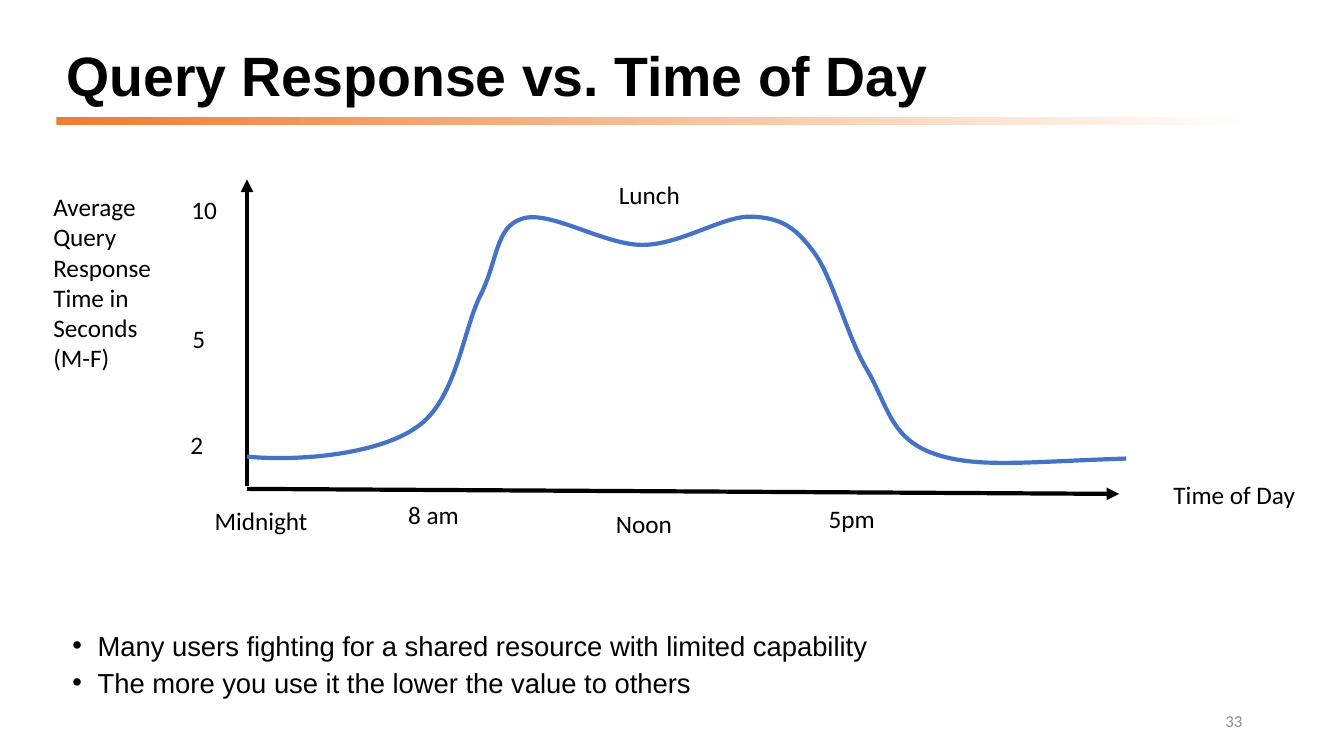
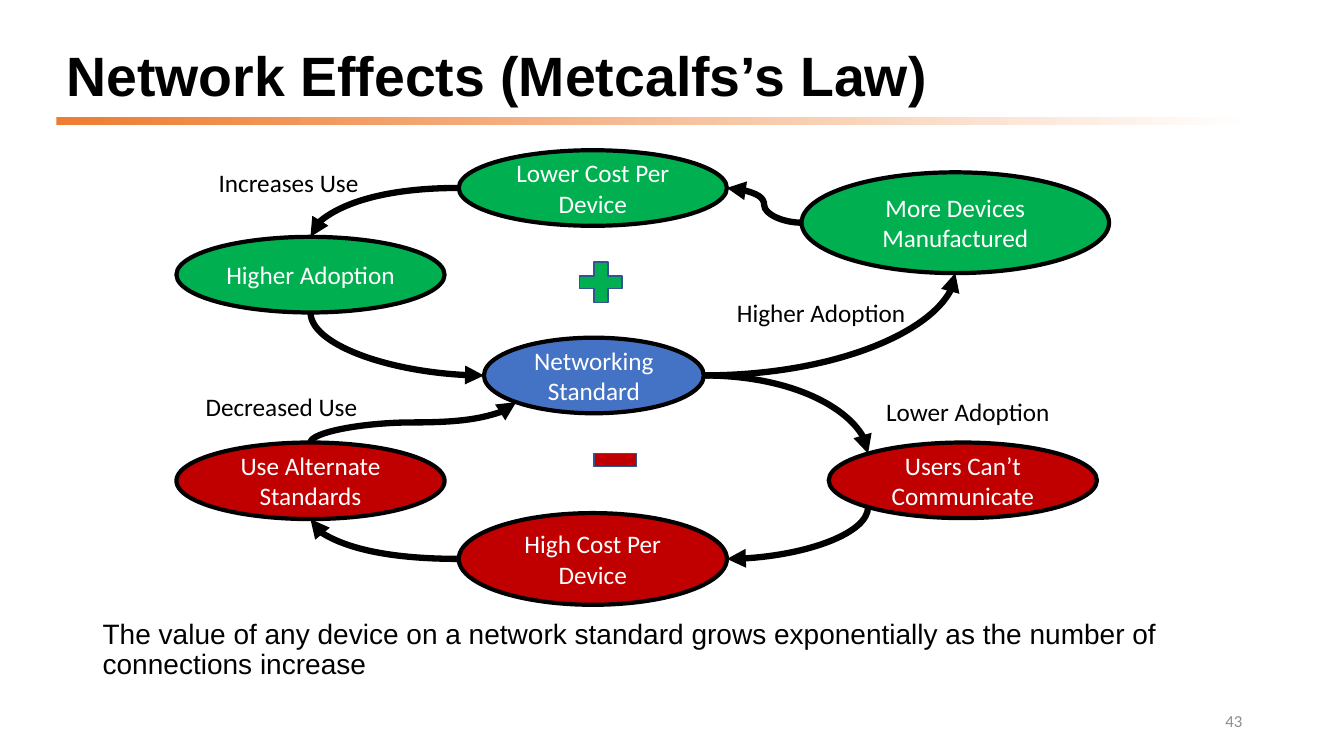
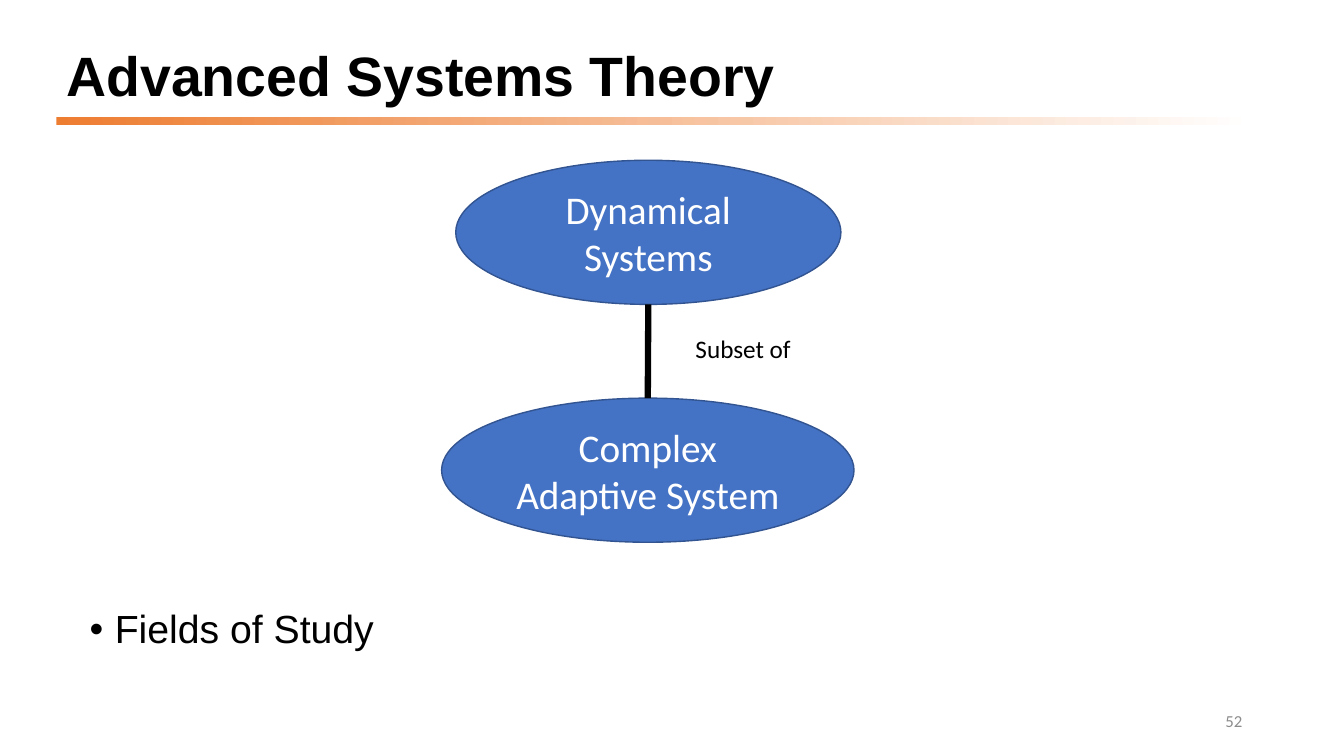
from dataclasses import dataclass
from itertools import pairwise
from math import sqrt

from lxml.etree import SubElement
from pptx import Presentation
from pptx.dml.color import RGBColor
from pptx.enum.shapes import MSO_CONNECTOR, MSO_SHAPE
from pptx.enum.text import MSO_ANCHOR, MSO_AUTO_SIZE, PP_ALIGN
from pptx.oxml.ns import qn
from pptx.presentation import Presentation as Deck
from pptx.shapes.autoshape import Shape
from pptx.shapes.connector import Connector
from pptx.slide import Slide
from pptx.text.text import Font
from pptx.util import Inches, Pt

BLACK = RGBColor(0x00, 0x00, 0x00)
WHITE = RGBColor(0xFF, 0xFF, 0xFF)
GRAY = RGBColor(0x8C, 0x8C, 0x8C)
ORANGE = RGBColor(0xED, 0x7D, 0x31)
BLUE = RGBColor(0x44, 0x72, 0xC4)
DARK_BLUE = RGBColor(0x32, 0x54, 0x91)
GREEN = RGBColor(0x00, 0xB0, 0x50)
RED = RGBColor(0xC0, 0x00, 0x00)

HEADING_FONT = "Arial"
LABEL_FONT = "Calibri"

# Ellipse connection sites: (index, horizontal, vertical) on the unit circle
DIAGONAL = sqrt(0.5)
SITES = {
    "top": (0, 0, -1),
    "top left": (1, -DIAGONAL, -DIAGONAL),
    "left": (2, -1, 0),
    "bottom left": (3, -DIAGONAL, DIAGONAL),
    "bottom": (4, 0, 1),
    "right": (6, 1, 0),
}


@dataclass(frozen=True)
class Box:
    left: float
    top: float
    width: float
    height: float

    def lengths(self) -> tuple[Inches, ...]:
        return tuple(Inches(v) for v in (self.left, self.top, self.width, self.height))

    def site(self, name: str) -> tuple[float, float]:
        """Point of a connection site on the ellipse in this box."""
        _, across, down = SITES[name]
        return (self.left + self.width / 2 * (1 + across),
                self.top + self.height / 2 * (1 + down))


@dataclass(frozen=True)
class Label:
    text: str
    left: float
    top: float
    width: float
    height: float = 0.4


@dataclass(frozen=True)
class Concept:
    text: str
    box: Box
    color: RGBColor


@dataclass(frozen=True)
class Influence:
    source: str
    source_site: str
    target: str
    target_site: str


TITLE_BOX = Box(0.56, 0.4, 11.5, 0.76)
RULE_BOX = Box(0.56, 1.16, 11.86, 0.08)
NUMBER_BOX = Box(9.42, 6.95, 3, 0.4)

RESPONSE_LABELS = [
    Label("Average\nQuery\nResponse\nTime in\nSeconds\n(M-F)", 0.43, 1.85, 1.18, 1.92),
    Label("Time of Day", 11.54, 4.71, 1.42),
    Label("Midnight", 2.03, 4.96, 1.13),
    Label("8 am", 3.95, 4.9, 0.71),
    Label("Noon", 6.01, 4.99, 0.76),
    Label("5pm", 8.12, 4.94, 0.66),
    Label("10", 1.8, 1.88, 0.46),
    Label("5", 1.81, 3.16, 0.33),
    Label("2", 1.79, 4.21, 0.33),
    Label("Lunch", 6.04, 1.73, 0.82),
]

# Start point, then two control points and an end point for each segment
RESPONSE_CURVE = [
    (2.45, 4.53),
    (2.95, 4.58), (3.75, 4.51), (4.13, 4.24),
    (4.52, 3.98), (4.59, 3.29), (4.76, 2.94),
    (4.94, 2.59), (4.91, 2.25), (5.18, 2.17),
    (5.45, 2.08), (5.99, 2.43), (6.37, 2.43),
    (6.75, 2.43), (7.17, 2.14), (7.45, 2.15),
    (7.73, 2.16), (7.88, 2.24), (8.07, 2.5),
    (8.26, 2.75), (8.4, 3.34), (8.6, 3.67),
    (8.8, 4.01), (8.83, 4.35), (9.26, 4.5),
    (9.68, 4.65), (10.2, 4.58), (11.17, 4.55),
]

NETWORK_CONCEPTS = {
    "standard": Concept("Networking\nStandard", Box(4.8, 3.35, 2.18, 0.75), BLUE),
    "more devices": Concept("More Devices\nManufactured", Box(7.95, 1.71, 3.05, 1), GREEN),
    "lower cost": Concept("Lower Cost Per\nDevice", Box(4.55, 1.49, 2.66, 0.75), GREEN),
    "adoption": Concept("Higher Adoption", Box(1.75, 2.35, 2.66, 0.75), GREEN),
    "isolation": Concept("Users Can’t Communicate", Box(8.22, 4.39, 2.66, 0.75), RED),
    "high cost": Concept("High Cost Per Device", Box(4.55, 5.09, 2.66, 0.91), RED),
    "alternates": Concept("Use Alternate Standards", Box(1.75, 4.39, 2.66, 0.76), RED),
}

NETWORK_INFLUENCES = [
    Influence("standard", "right", "more devices", "bottom"),
    Influence("more devices", "left", "lower cost", "right"),
    Influence("lower cost", "left", "adoption", "top"),
    Influence("adoption", "bottom", "standard", "left"),
    Influence("standard", "right", "isolation", "top left"),
    Influence("isolation", "bottom left", "high cost", "right"),
    Influence("high cost", "left", "alternates", "bottom"),
    Influence("alternates", "top", "standard", "bottom left"),
]

NETWORK_LABELS = [
    Label("Increases Use", 2.07, 1.61, 1.6),
    Label("Higher Adoption", 7.21, 2.9, 1.89),
    Label("Lower Adoption", 8.69, 3.88, 1.84),
    Label("Decreased Use", 1.94, 3.83, 1.72),
]

SYSTEMS = [
    Concept("Dynamical Systems", Box(4.52, 1.59, 3.82, 1.43), BLUE),
    Concept("Complex Adaptive System", Box(4.38, 3.95, 4.09, 1.43), BLUE),
]


def style_font(font: Font, name: str, size: float, color: RGBColor, bold: bool = False) -> None:
    font.name = name
    font.size = Pt(size)
    font.color.rgb = color
    font.bold = bold


def add_text(slide: Slide, box: Box, lines: list[str], font: str, size: float,
             color: RGBColor = BLACK, bold: bool = False, bullet: bool = False,
             spacing: float = 1.0, align: PP_ALIGN = PP_ALIGN.LEFT,
             anchor: MSO_ANCHOR = MSO_ANCHOR.TOP, space_before: float = 0,
             wrap: bool = True) -> None:
    frame = slide.shapes.add_textbox(*box.lengths()).text_frame
    frame.word_wrap = wrap
    frame.auto_size = MSO_AUTO_SIZE.NONE if wrap else MSO_AUTO_SIZE.SHAPE_TO_FIT_TEXT
    frame.vertical_anchor = anchor
    frame.text = "\n".join(lines)
    for index, paragraph in enumerate(frame.paragraphs):
        if bullet:
            properties = paragraph._p.get_or_add_pPr()
            properties.set("marL", str(Inches(0.25)))
            properties.set("indent", str(-Inches(0.25)))
            SubElement(properties, qn("a:buFont"), typeface=HEADING_FONT)
            SubElement(properties, qn("a:buChar"), char="•")
        paragraph.alignment = align
        paragraph.line_spacing = spacing
        if index:
            paragraph.space_before = Pt(space_before)
        style_font(paragraph.font, font, size, color, bold)


def add_labels(slide: Slide, labels: list[Label]) -> None:
    for label in labels:
        box = Box(label.left, label.top, label.width, label.height)
        add_text(slide, box, label.text.split("\n"), LABEL_FONT, 18, wrap=False)


def add_body(slide: Slide, box: Box, lines: list[str], size: float,
             bullet: bool = True, spacing: float = 0.9) -> None:
    add_text(slide, box, lines, HEADING_FONT, size, bullet=bullet,
             spacing=spacing, space_before=10)


def add_filled(slide: Slide, kind: MSO_SHAPE, box: Box, fill: RGBColor,
               line: RGBColor = DARK_BLUE, line_width: float = 1) -> Shape:
    shape = slide.shapes.add_shape(kind, *box.lengths())
    shape.shadow.inherit = False
    shape.fill.solid()
    shape.fill.fore_color.rgb = fill
    shape.line.color.rgb = line
    shape.line.width = Pt(line_width)
    return shape


def add_concept(slide: Slide, concept: Concept, size: float,
                line: RGBColor, line_width: float) -> Shape:
    ellipse = add_filled(slide, MSO_SHAPE.OVAL, concept.box, concept.color, line, line_width)
    ellipse.text_frame.text = concept.text
    for paragraph in ellipse.text_frame.paragraphs:
        paragraph.alignment = PP_ALIGN.CENTER
        style_font(paragraph.font, LABEL_FONT, size, WHITE)
    return ellipse


def add_line(slide: Slide, start: tuple[float, float], end: tuple[float, float],
             width: float, arrow: bool = True,
             kind: MSO_CONNECTOR = MSO_CONNECTOR.STRAIGHT) -> Connector:
    line = slide.shapes.add_connector(kind, *(Inches(v) for v in (*start, *end)))
    line.line.color.rgb = BLACK
    line.line.width = Pt(width)
    if arrow:
        SubElement(line.line._get_or_add_ln(), qn("a:tailEnd"), type="triangle")
    SubElement(line._element.spPr, qn("a:effectLst"))
    return line


def leaves_sideways(site: str) -> bool:
    return site in ("left", "right")


def add_influence(slide: Slide, influence: Influence, ellipses: dict[str, Shape]) -> None:
    """Curved arrow glued to two ellipses, turned when it starts vertically."""
    start = NETWORK_CONCEPTS[influence.source].box.site(influence.source_site)
    end = NETWORK_CONCEPTS[influence.target].box.site(influence.target_site)
    sideways = leaves_sideways(influence.source_site)
    turn = 0
    if not sideways:
        across, down = end[0] - start[0], end[1] - start[1]
        center_x, center_y = (start[0] + end[0]) / 2, (start[1] + end[1]) / 2
        turn = 90 if down > 0 else 270
        half_width = abs(down) / 2
        half_height = (-across if down > 0 else across) / 2
        start = (center_x - half_width, center_y - half_height)
        end = (center_x + half_width, center_y + half_height)

    arrow = add_line(slide, start, end, 4.5, kind=MSO_CONNECTOR.CURVE)
    properties = arrow._element.spPr
    if turn:
        properties.find(qn("a:xfrm")).set("rot", str(turn * 60000))
    if sideways != leaves_sideways(influence.target_site):
        properties.find(qn("a:prstGeom")).set("prst", "curvedConnector2")

    glue = arrow._element.find(".//" + qn("p:cNvCxnSpPr"))
    for tag, concept, site in (("a:stCxn", influence.source, influence.source_site),
                               ("a:endCxn", influence.target, influence.target_site)):
        SubElement(glue, qn(tag), id=str(ellipses[concept].shape_id), idx=str(SITES[site][0]))


def add_smooth_curve(slide: Slide, points: list[tuple[float, float]]) -> None:
    """Draw cubic segments by regrouping the points of an open freeform."""
    start, *rest = [(Inches(x), Inches(y)) for x, y in points]
    builder = slide.shapes.build_freeform(*start)
    builder.add_line_segments(rest, close=False)
    curve = builder.convert_to_shape()
    curve.shadow.inherit = False
    curve.fill.background()
    curve.line.color.rgb = BLUE
    curve.line.width = Pt(3)
    outline = curve._element.find(".//" + qn("a:path"))
    for index, step in enumerate(outline.findall(qn("a:lnTo"))):
        if index % 3 == 0:
            cubic = SubElement(outline, qn("a:cubicBezTo"))
        cubic.append(step[0])
        outline.remove(step)


def new_slide(deck: Deck, title: str, number: int) -> Slide:
    """Blank slide with the shared rule, title and slide number."""
    slide = deck.slides.add_slide(deck.slide_layouts[6])
    rule = slide.shapes.add_shape(MSO_SHAPE.RECTANGLE, *RULE_BOX.lengths())
    rule.shadow.inherit = False
    rule.line.fill.background()
    rule.fill.gradient()
    rule.fill.gradient_angle = 0
    for stop, color in zip(rule.fill.gradient_stops, (ORANGE, WHITE)):
        stop.color.rgb = color
    add_text(slide, TITLE_BOX, [title], HEADING_FONT, 39.6, bold=True,
             spacing=0.9, anchor=MSO_ANCHOR.MIDDLE)
    add_text(slide, NUMBER_BOX, [str(number)], LABEL_FONT, 12, GRAY,
             align=PP_ALIGN.RIGHT, anchor=MSO_ANCHOR.MIDDLE)
    return slide


def add_response_slide(deck: Deck) -> None:
    slide = new_slide(deck, "Query Response vs. Time of Day", 33)
    add_body(slide, Box(0.62, 6.28, 9.16, 0.76), [
        "Many users fighting for a shared resource with limited capability",
        "The more you use it the lower the value to others",
    ], 19.6, spacing=0.7)
    add_line(slide, (2.45, 4.82), (2.45, 1.78), 3)
    add_line(slide, (2.45, 4.85), (11.1, 4.9), 3)
    add_smooth_curve(slide, RESPONSE_CURVE)
    add_labels(slide, RESPONSE_LABELS)


def add_network_slide(deck: Deck) -> None:
    slide = new_slide(deck, "Network Effects (Metcalfs’s Law)", 43)
    add_body(slide, Box(0.92, 6.1, 11.5, 0.72), [
        "The value of any device on a network standard grows exponentially "
        "as the number of connections increase",
    ], 20, bullet=False)
    ellipses = {key: add_concept(slide, concept, 18, BLACK, 3)
                for key, concept in NETWORK_CONCEPTS.items()}
    for influence in NETWORK_INFLUENCES:
        add_influence(slide, influence, ellipses)
    plus = add_filled(slide, MSO_SHAPE.CROSS, Box(5.75, 2.6, 0.42, 0.4), GREEN)
    plus.adjustments[0] = 0.35
    add_filled(slide, MSO_SHAPE.RECTANGLE, Box(5.89, 4.5, 0.42, 0.13), RED)
    add_labels(slide, NETWORK_LABELS)


def add_systems_slide(deck: Deck) -> None:
    slide = new_slide(deck, "Advanced Systems Theory", 52)
    add_body(slide, Box(0.79, 6, 11.62, 0.76), ["Fields of Study"], 28)
    for system in SYSTEMS:
        add_concept(slide, system, 28, DARK_BLUE, 1)
    for upper, lower in pairwise(SYSTEMS):
        add_line(slide, upper.box.site("bottom"), lower.box.site("top"), 4.5, arrow=False)
    add_labels(slide, [Label("Subset of", 6.8, 3.26, 1.16)])


def main() -> None:
    deck = Presentation()
    deck.slide_width = Inches(13.33)
    deck.slide_height = Inches(7.5)
    add_response_slide(deck)
    add_network_slide(deck)
    add_systems_slide(deck)
    deck.save("out.pptx")


if __name__ == "__main__":
    main()
